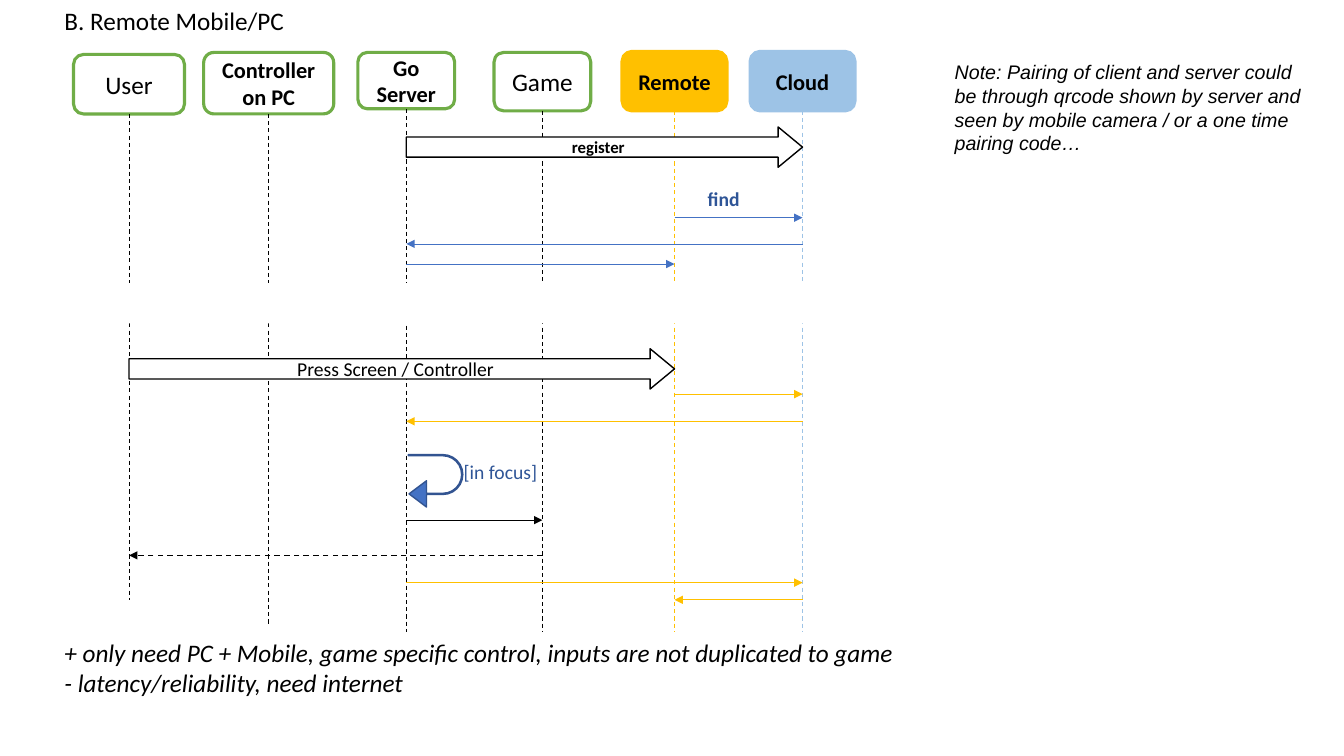
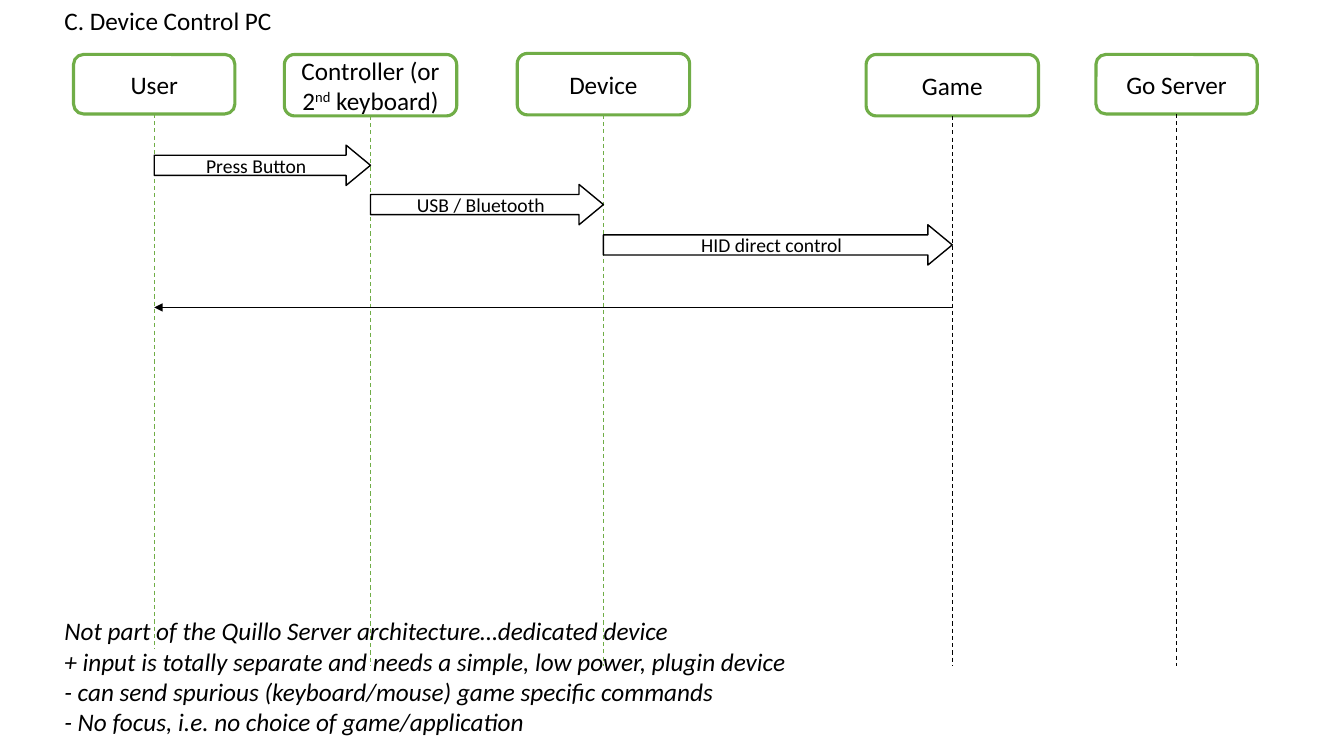
from dataclasses import dataclass

from lxml import etree
from pptx import Presentation
from pptx.dml.color import RGBColor
from pptx.enum.dml import MSO_LINE
from pptx.enum.shapes import MSO_CONNECTOR, MSO_SHAPE
from pptx.enum.text import MSO_ANCHOR, MSO_AUTO_SIZE, PP_ALIGN
from pptx.oxml.ns import qn
from pptx.util import Inches, Pt


@dataclass(frozen=True)
class Theme:
    black: str = "000000"
    white: str = "FFFFFF"
    green: str = "70AD47"
    gold: str = "FFC000"
    sky: str = "9DC3E6"
    blue: str = "4472C4"
    navy: str = "2F5597"
    loop_edge: str = "325491"
    font: str = "Calibri"
    note_font: str = "Arial"
    body: int = 18
    strong: int = 16
    label: int = 14
    small: int = 12
    border: float = 2.25
    outline: float = 1
    lifeline: float = 0.75
    message: float = 0.5
    left: float = 0.54
    arrow_height: float = 0.4


T = Theme()


@dataclass(frozen=True)
class Lane:
    """A participant: its header box and the end of its lifeline."""
    text: str
    box: tuple
    bottom: float
    size: int = T.body
    bold: bool = False
    fill: str = T.white
    border: str = T.green
    line: str = T.black

    @property
    def x(self):
        return self.box[0] + self.box[2] / 2


# Basic parts
def rgb(color):
    return RGBColor.from_string(color)


def write(frame, text, size, color=T.black, font=T.font, bold=False, italic=False):
    """Newlines split paragraphs, \\v breaks a line, ^ encloses superscript."""
    for i, content in enumerate(text.split("\n")):
        paragraph = frame.paragraphs[0] if i == 0 else frame.add_paragraph()
        for j, line in enumerate(content.split("\v")):
            if j:
                paragraph.add_line_break()
            for k, part in enumerate(line.split("^")):
                run = paragraph.add_run()
                run.text = part
                run.font.size, run.font.name = Pt(size), font
                run.font.bold, run.font.italic = bold, italic
                run.font.color.rgb = rgb(color)
                if k % 2:
                    run._r.get_or_add_rPr().set("baseline", "30000")


def add_text(slide, box, text, size=T.body, wrap=False, **style):
    frame = slide.shapes.add_textbox(*map(Inches, box)).text_frame
    frame.word_wrap = wrap
    frame.auto_size = MSO_AUTO_SIZE.SHAPE_TO_FIT_TEXT
    write(frame, text, size, **style)


def add_block(shapes, kind, box, fill=None, border=None, width=T.outline,
              text="", size=T.label, bold=False):
    shape = shapes.add_shape(kind, *map(Inches, box))
    shape.shadow.inherit = False
    if fill:
        shape.fill.solid()
        shape.fill.fore_color.rgb = rgb(fill)
    else:
        shape.fill.background()
    if border:
        shape.line.color.rgb = rgb(border)
        shape.line.width = Pt(width)
    else:
        shape.line.fill.background()
    if text:
        frame = shape.text_frame
        frame.word_wrap = True
        frame.vertical_anchor = MSO_ANCHOR.MIDDLE
        write(frame, text, size, bold=bold)
        for paragraph in frame.paragraphs:
            paragraph.alignment = PP_ALIGN.CENTER
    return shape


def add_line(shapes, start, end, color, width, dashed=False, arrow=False):
    line = shapes.add_connector(MSO_CONNECTOR.STRAIGHT, *map(Inches, start + end))
    line.line.color.rgb = rgb(color)
    line.line.width = Pt(width)
    if dashed:
        line.line.dash_style = MSO_LINE.DASH
    properties = line._element.spPr
    if arrow:
        tail = etree.SubElement(properties.find(qn("a:ln")), qn("a:tailEnd"))
        tail.set("type", "triangle")
    etree.SubElement(properties, qn("a:effectLst"))


# Sequence diagram parts
def add_lane(slide, lane):
    shapes = slide.shapes.add_group_shape().shapes
    add_block(shapes, MSO_SHAPE.ROUNDED_RECTANGLE, lane.box, lane.fill, lane.border,
              T.border, lane.text, lane.size, lane.bold)
    add_line(shapes, (lane.x, lane.box[1] + lane.box[3]), (lane.x, lane.bottom),
             lane.line, T.lifeline, dashed=True)


def add_message(slide, source, target, y, color=T.black, width=T.message, dashed=False):
    add_line(slide.shapes, (source.x, y), (target.x, y), color, width, dashed, arrow=True)


def add_big_arrow(slide, source, target, top, text, fill=None, size=T.label, bold=False):
    box = (source.x, top, target.x - source.x, T.arrow_height)
    arrow = add_block(slide.shapes, MSO_SHAPE.RIGHT_ARROW, box, fill, T.black,
                      text=text, size=size, bold=bold)
    arrow.adjustments[1] = 0.605


def add_self_call(slide, box, text, text_box):
    add_text(slide, text_box, text, T.label, color=T.navy)
    loop = add_block(slide.shapes, MSO_SHAPE.U_TURN_ARROW, box, T.blue, T.loop_edge)
    loop.rotation = 90
    for i, value in enumerate((0.023, 0.25, 0.332, 0.438, 0.987)):
        loop.adjustments[i] = value


def start_slide(deck, title, title_width, lanes):
    slide = deck.slides.add_slide(deck.slide_layouts[6])
    add_text(slide, (T.left, 0, title_width, 0.4), title)
    for lane in lanes:
        add_lane(slide, lane)
    return slide


def add_summary(slide, top, width, height, text):
    add_text(slide, (T.left, top, width, height), text, italic=True)


# Slide types
def remote_slide(deck):
    strong = dict(size=T.strong, bold=True)
    gold = dict(fill=T.gold, border=T.gold, line=T.gold)
    sky = dict(fill=T.sky, border=T.sky, line=T.sky)
    lanes = user, controller, game, server, remote, cloud = (
        Lane("User", (0.73, 0.54, 1.1, 0.59), 5.95),
        Lane("Controller\von PC", (2.02, 0.52, 1.29, 0.61), 6.19, **strong),
        Lane("Game", (4.9, 0.52, 0.96, 0.58), 6.26),
        Lane("Go\vServer", (3.55, 0.52, 0.96, 0.56), 6.27, **strong),
        Lane("Remote", (6.17, 0.51, 1.04, 0.59), 6.27, **strong, **gold),
        Lane("Cloud", (7.44, 0.51, 1.04, 0.59), 6.26, **strong, **sky),
    )
    slide = start_slide(deck, "B. Remote Mobile/PC", 2.41, lanes)

    # Pairing phase
    add_big_arrow(slide, server, cloud, 1.26, "register", T.white, T.small, True)
    add_text(slide, (6.92, 1.81, 0.52, 0.34), "find", T.label, color=T.navy, bold=True)
    for source, target, y in ((remote, cloud, 2.16), (cloud, server, 2.42),
                              (server, remote, 2.62)):
        add_message(slide, source, target, y, T.blue)

    # Break between the phases
    add_block(slide.shapes, MSO_SHAPE.RECTANGLE, (0.98, 2.81, 7.2, 0.4), T.white)

    # Control phase
    add_big_arrow(slide, user, remote, 3.46, "Press Screen / Controller", T.white)
    for source, target, y in ((remote, cloud, 3.91), (cloud, server, 4.18),
                              (server, cloud, 5.78), (cloud, remote, 5.95)):
        add_message(slide, source, target, y, T.gold)
    add_self_call(slide, (4.06, 4.5, 0.52, 0.54), "[in focus]", (4.5, 4.51, 0.94, 0.34))
    add_message(slide, server, game, 5.16)
    add_message(slide, game, user, 5.51, width=T.outline, dashed=True)

    # Notes on the design
    add_summary(slide, 6.27, 8.52, 1.01,
                "+ only need PC + Mobile, game specific control, inputs are not "
                "duplicated to game\n- latency/reliability, need internet")
    add_text(slide, (9.37, 0.55, 3.65, 1.04),
             "Note: Pairing of client and server could be through qrcode shown by "
             "server and seen by mobile camera / or a one time pairing code…",
             T.label, wrap=True, font=T.note_font, italic=True)


def device_slide(deck):
    bottom = 6.61
    lanes = user, controller, device, game, server = (
        Lane("User", (0.73, 0.54, 1.6, 0.59), 6.44, line=T.green),
        Lane("Controller (or 2^nd^ keyboard)", (2.82, 0.54, 1.71, 0.61), bottom,
             line=T.green),
        Lane("Device", (5.13, 0.53, 1.71, 0.61), bottom, line=T.green),
        Lane("Game", (8.59, 0.54, 1.71, 0.61), bottom),
        Lane("Go Server", (10.87, 0.54, 1.6, 0.59), bottom),
    )
    slide = start_slide(deck, "C. Device Control PC", 2.28, lanes)

    # Input path and feedback
    add_big_arrow(slide, user, controller, 1.44, "Press Button")
    add_big_arrow(slide, controller, device, 1.83, "USB / Bluetooth")
    add_big_arrow(slide, device, game, 2.23, "HID direct control")
    add_message(slide, game, user, 3.05)

    add_summary(slide, 6.06, 7.44, 1.31,
                "Not part of the Quillo Server architecture…dedicated device\v"
                "+ input is totally separate and needs a simple, low power, plugin device\v"
                "- can send spurious (keyboard/mouse) game specific commands\n"
                "- No focus, i.e. no choice of game/application")


deck = Presentation()
deck.slide_width, deck.slide_height = Inches(13.33), Inches(7.5)
remote_slide(deck)
device_slide(deck)
deck.save("out.pptx")
